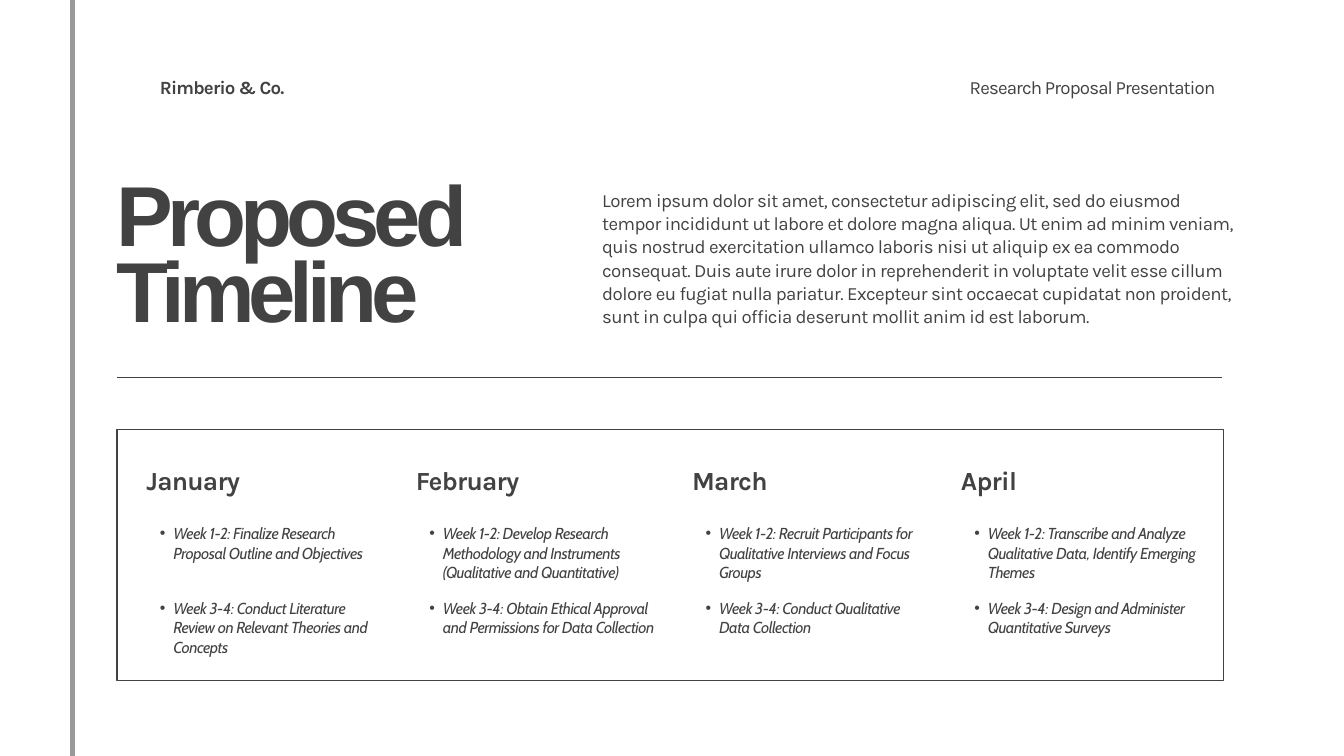
from collections import namedtuple

from lxml.etree import SubElement
from pptx import Presentation
from pptx.dml.color import RGBColor
from pptx.enum.shapes import MSO_CONNECTOR, MSO_SHAPE
from pptx.enum.text import MSO_ANCHOR, MSO_AUTO_SIZE, PP_ALIGN
from pptx.oxml.ns import qn
from pptx.util import Inches, Pt

Style = namedtuple("Style", "font size leading tracking bold italic bullet",
                   defaults=(False, False, False))
THEME = {
    "ink": RGBColor(0x42, 0x42, 0x42),
    "margin_rule": RGBColor(0x99, 0x99, 0x99),
    "title": Style("Arial", 91.1, 82, -6.4, bold=True),
    "company": Style("Karla", 20, 28, -0.9, bold=True),
    "header": Style("Karla", 20, 28, -0.9),
    "intro": Style("Karla", 20, 25, -0.6),
    "month": Style("Karla", 28, 35, -0.8, bold=True),
    "task": Style("Cabin", 17, 21.2, -0.5, italic=True, bullet=True),
}

WIDTH, HEIGHT = 20, 11.25
LEFT = 1.74
HEADER_TOP = 1.07
MONTH_TOP, TASK_TOP, TASK_STEP = 6.89, 7.78, 1.11
TASK_WIDTH = 3.58

INTRO = (
    "Lorem ipsum dolor sit amet, consectetur adipiscing elit, sed do eiusmod tempor "
    "incididunt ut labore et dolore magna aliqua. Ut enim ad minim veniam, quis nostrud "
    "exercitation ullamco laboris nisi ut aliquip ex ea commodo consequat. Duis aute irure "
    "dolor in reprehenderit in voluptate velit esse cillum dolore eu fugiat nulla pariatur. "
    "Excepteur sint occaecat cupidatat non proident, sunt in culpa qui officia deserunt "
    "mollit anim id est laborum."
)
MONTHS = [
    (2.18, "January", [
        "Week 1-2: Finalize Research Proposal Outline and Objectives",
        "Week 3-4: Conduct Literature Review on Relevant Theories and Concepts"]),
    (6.19, "February", [
        "Week 1-2: Develop Research Methodology and Instruments (Qualitative and Quantitative)",
        "Week 3-4: Obtain Ethical Approval and Permissions for Data Collection"]),
    (10.3, "March", [
        "Week 1-2: Recruit Participants for Qualitative Interviews and Focus Groups",
        "Week 3-4: Conduct Qualitative Data Collection"]),
    (14.3, "April", [
        "Week 1-2: Transcribe and Analyze Qualitative Data, Identify Emerging Themes",
        "Week 3-4: Design and Administer Quantitative Surveys"]),
]

prs = Presentation()
prs.slide_width, prs.slide_height = Inches(WIDTH), Inches(HEIGHT)
slide = prs.slides.add_slide(prs.slide_layouts[1])
shapes = slide.shapes


def write(lines, style, left, top, width, height, holder=None):
    """Set lines of text in a placeholder, or in a new text box if none is given."""
    box = [Inches(length) for length in (left, top, width, height)]
    holder = holder or shapes.add_textbox(*box)
    holder.left, holder.top, holder.width, holder.height = box
    frame = holder.text_frame
    frame.word_wrap = True
    frame.auto_size = MSO_AUTO_SIZE.NONE
    frame.vertical_anchor = MSO_ANCHOR.TOP
    frame.margin_left = frame.margin_top = frame.margin_right = frame.margin_bottom = 0
    for number, line in enumerate(lines):
        paragraph = frame.add_paragraph() if number else frame.paragraphs[0]
        properties = paragraph._p.get_or_add_pPr()
        properties.set("marL", str(Inches(0.4 if style.bullet else 0)))
        properties.set("indent", str(Inches(-0.2 if style.bullet else 0)))
        if style.bullet:
            SubElement(properties, qn("a:buFont"), typeface="Arial")
            SubElement(properties, qn("a:buChar"), char="•")
        else:
            SubElement(properties, qn("a:buNone"))
        paragraph.alignment = PP_ALIGN.LEFT
        paragraph.line_spacing = Pt(style.leading)
        paragraph.space_before = Pt(0)
        run = paragraph.add_run()
        run.text = line
        run.font.name, run.font.size = style.font, Pt(style.size)
        run.font.bold, run.font.italic = style.bold, style.italic
        run.font.color.rgb = THEME["ink"]
        run._r.get_or_add_rPr().set("spc", str(round(style.tracking * 100)))


def rule(start, end, color, weight):
    line = shapes.add_connector(MSO_CONNECTOR.STRAIGHT, *map(Inches, start + end))
    line.line.color.rgb, line.line.width = color, Pt(weight)
    SubElement(line._element.spPr, qn("a:effectLst"))


# Rules
rule((LEFT, HEIGHT / 2 - 0.01), (18.18, HEIGHT / 2 - 0.01), THEME["ink"], 1.5)
rule((1.08, 0), (1.08, HEIGHT), THEME["margin_rule"], 6)

# Header, title and introduction
write(["Proposed", "Timeline"], THEME["title"], LEFT, 2.78, 7.46, 2.37, shapes.title)
write(["Rimberio & Co."], THEME["company"], 2.38, HEADER_TOP, 3.95, 0.38)
write(["Research Proposal Presentation"], THEME["header"], 14.43, HEADER_TOP, 4.83, 0.38)
write([INTRO], THEME["intro"], 8.96, 2.79, 9.51, 2.06, slide.placeholders[1])

# Timeline frame
frame_box = shapes.add_shape(MSO_SHAPE.RECTANGLE, *map(Inches, (LEFT, 6.39, 16.47, 3.74)))
frame_box.shadow.inherit = False
frame_box.fill.background()
frame_box.line.color.rgb, frame_box.line.width = THEME["ink"], Pt(1.5)

# Months, with the tasks of each half-month on a shared row
for left, month, tasks in MONTHS:
    write([month], THEME["month"], left, MONTH_TOP, TASK_WIDTH, 0.47)
    for row, task in enumerate(tasks):
        write([task], THEME["task"], left, TASK_TOP + row * TASK_STEP, TASK_WIDTH, 0.87)

prs.save("out.pptx")
